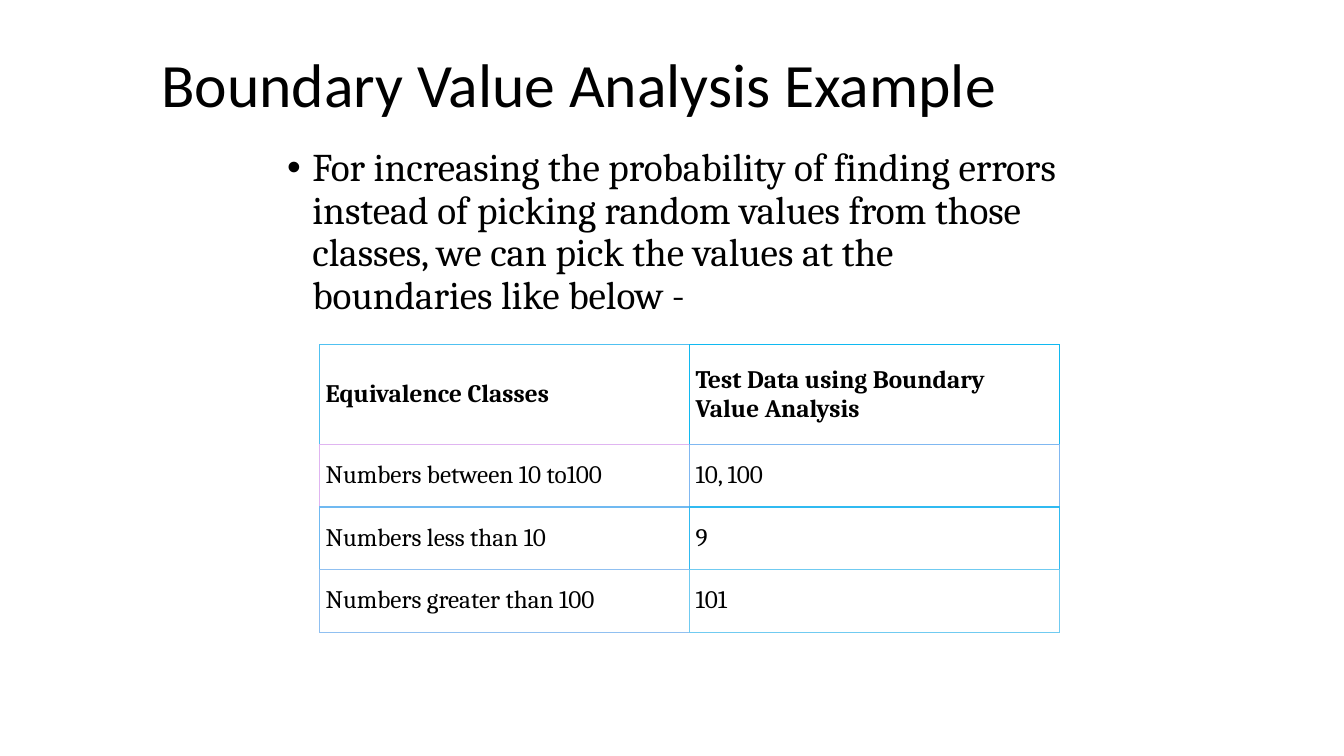
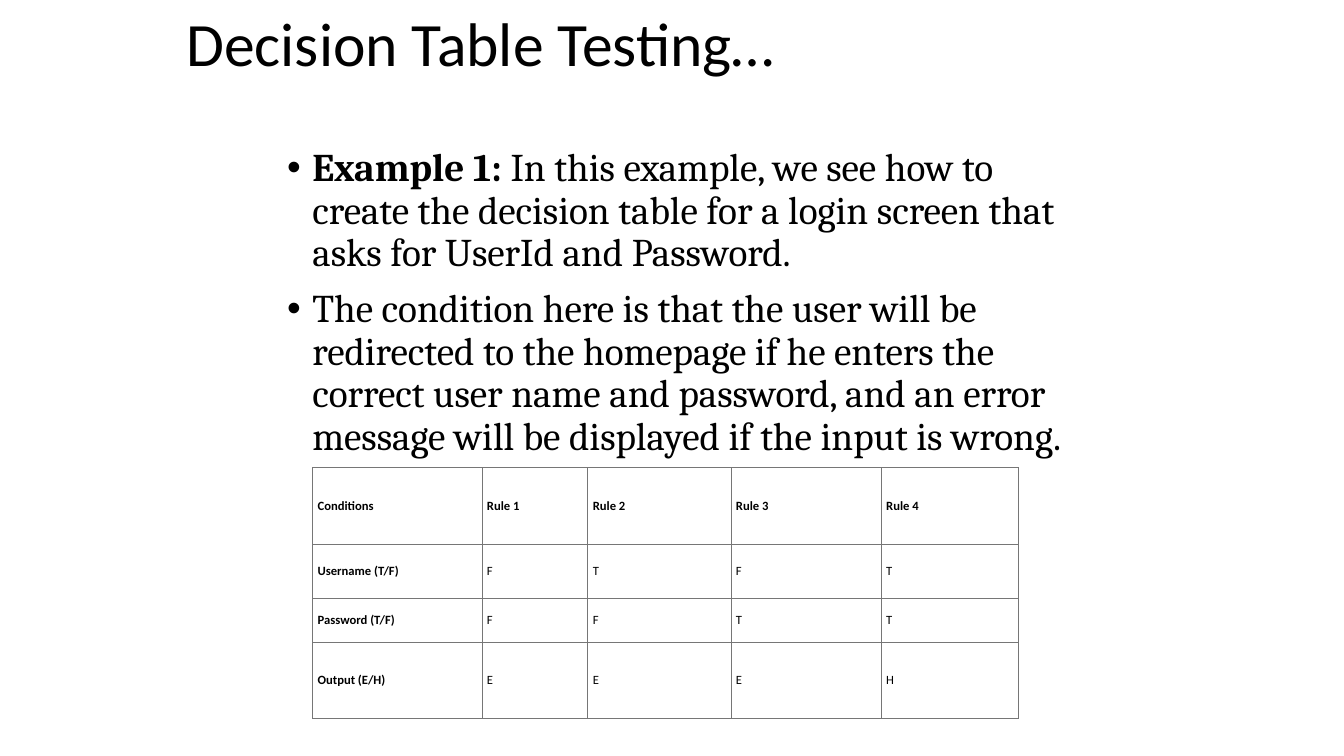
from dataclasses import dataclass
from lxml.etree import SubElement
from pptx import Presentation
from pptx.dml.color import RGBColor as RGB
from pptx.enum.text import MSO_ANCHOR as Anchor
from pptx.oxml.ns import qn
from pptx.util import Inches, Pt


@dataclass(frozen=True)
class Theme:
    ink: str = "000000"
    paper: str = "FFFFFF"
    grid: str = "767676"
    heading: str = "Calibri"
    body: str = "Cambria"
    bullet: str = "Arial"
    title_size: int = 44
    body_size: int = 28
    table_size: int = 18
    small_size: int = 9
    line_spacing: float = 0.9
    hairline: float = 0.5


class Deck:
    def __init__(self, theme):
        self.theme = theme
        self.prs = Presentation()
        self.prs.slide_width = Inches(13.33)
        self.prs.slide_height = Inches(7.5)
        self.s = None

    def slide(self):
        self.s = self.prs.slides.add_slide(self.prs.slide_layouts[6])
        self.s.background.fill.solid()
        self.s.background.fill.fore_color.rgb = RGB.from_string(self.theme.paper)

    def run(self, p, text, font, size, bold=False):
        r = p.add_run()
        r.text = text
        r.font.name = font
        r.font.size = Pt(size)
        r.font.bold = bold
        r.font.color.rgb = RGB.from_string(self.theme.ink)

    def text_frame(self, box, anchor):
        tf = self.s.shapes.add_textbox(*map(Inches, box)).text_frame
        tf.word_wrap = True
        tf.vertical_anchor = anchor
        return tf

    def title(self, box, text):
        p = self.text_frame(box, Anchor.MIDDLE).paragraphs[0]
        p.line_spacing = self.theme.line_spacing
        self.run(p, text, self.theme.heading, self.theme.title_size)

    def bullets(self, box, items):
        tf = self.text_frame(box, Anchor.TOP)
        for i, item in enumerate(items):
            p = tf.add_paragraph() if i else tf.paragraphs[0]
            p.line_spacing = self.theme.line_spacing
            p.space_before = Pt(10)
            pPr = p._p.get_or_add_pPr()
            pPr.set("marL", str(Inches(0.25)))
            pPr.set("indent", str(-Inches(0.25)))
            SubElement(pPr, qn("a:buFont"), typeface=self.theme.bullet)
            SubElement(pPr, qn("a:buChar"), char="•")
            for text, bold in item:
                self.run(p, text, self.theme.body, self.theme.body_size, bold)

    def border(self, cell, side, color, width):
        ln = SubElement(cell._tc.get_or_add_tcPr(), qn(f"a:ln{side}"), w=str(Pt(width)))
        SubElement(SubElement(ln, qn("a:solidFill")), qn("a:srgbClr"), val=color)

    def table(self, left, top, widths, heights, rows, font, size, insets,
              bold_column=False, colors=None, inner=None):
        outer = self.theme.hairline
        inner = inner or outer
        colors = colors or [[self.theme.grid] * len(widths)] * len(heights)
        box = (left, top, sum(widths), sum(heights))
        tbl = self.s.shapes.add_table(len(heights), len(widths), *map(Inches, box)).table
        tbl.first_row = tbl.horz_banding = False
        for column, width in zip(tbl.columns, widths):
            column.width = Inches(width)
        for row, height in zip(tbl.rows, heights):
            row.height = Inches(height)
        for i, texts in enumerate(rows):
            for j, text in enumerate(texts):
                cell = tbl.cell(i, j)
                own = colors[i][j]
                last_col, last_row = j == len(widths) - 1, i == len(heights) - 1
                self.border(cell, "L", own, inner)
                self.border(cell, "R", own if last_col else colors[i][j + 1],
                            outer if last_col else inner)
                self.border(cell, "T", own, inner)
                self.border(cell, "B", own if last_row else colors[i + 1][j],
                            outer if last_row else inner)
                cell.fill.solid()
                cell.fill.fore_color.rgb = RGB.from_string(self.theme.paper)
                cell.margin_left = cell.margin_right = Inches(insets[0])
                cell.margin_top = cell.margin_bottom = Inches(insets[1])
                cell.vertical_anchor = Anchor.MIDDLE
                bold = i == 0 or (bold_column and j == 0)
                self.run(cell.text_frame.paragraphs[0], text, font, size, bold)


def boundary_values(deck):
    deck.slide()
    deck.title((1.5, 0.41, 10.66, 0.92), "Boundary Value Analysis Example")
    deck.bullets((2.75, 1.42, 7.83, 5.28), [
        [("For increasing the probability of finding errors instead of picking random "
          "values from those classes, we can pick the values at the boundaries like "
          "below -", False)],
    ])
    deck.table(
        3.17, 3.42, [3.67] * 2, [0.99] + [0.62] * 3,
        [["Equivalence Classes", "Test Data using Boundary Value Analysis"],
         ["Numbers between 10 to100", "10, 100"],
         ["Numbers less than 10", "9"],
         ["Numbers greater than 100", "101"]],
        deck.theme.body, deck.theme.table_size, (0.06, 0.06),
        colors=[["50C1F1", "10B9F1"], ["E0B5F1", "80B8F1"],
                ["70B9F1", "30BAF1"], ["90C0F1", "70CBF1"]],
        inner=1)


def decision_table(deck):
    deck.slide()
    deck.title((1.75, 0, 9, 0.92), "Decision Table Testing…")
    deck.bullets((2.75, 1.42, 8.17, 5.5), [
        [("Example 1: ", True),
         ("In this example, we see how to create the decision table for a login screen "
          "that asks for UserId and Password.", False)],
        [("The condition here is that the user will be redirected to the homepage if he "
          "enters the correct user name and password, and an error message will be "
          "displayed if the input is wrong.", False)],
    ])
    deck.table(
        3.1, 4.64, [1.68, 1.05, 1.42, 1.49, 1.36], [0.76, 0.54, 0.43, 0.76],
        [["Conditions"] + [f"Rule {n}" for n in range(1, 5)],
         ["Username (T/F)", *"FTFT"],
         ["Password (T/F)", *"FFTT"],
         ["Output (E/H)", *"EEEH"]],
        deck.theme.heading, deck.theme.small_size, (0.05, 0.03), bold_column=True)


def main():
    deck = Deck(Theme())
    boundary_values(deck)
    decision_table(deck)
    deck.prs.save("out.pptx")


if __name__ == "__main__":
    main()
